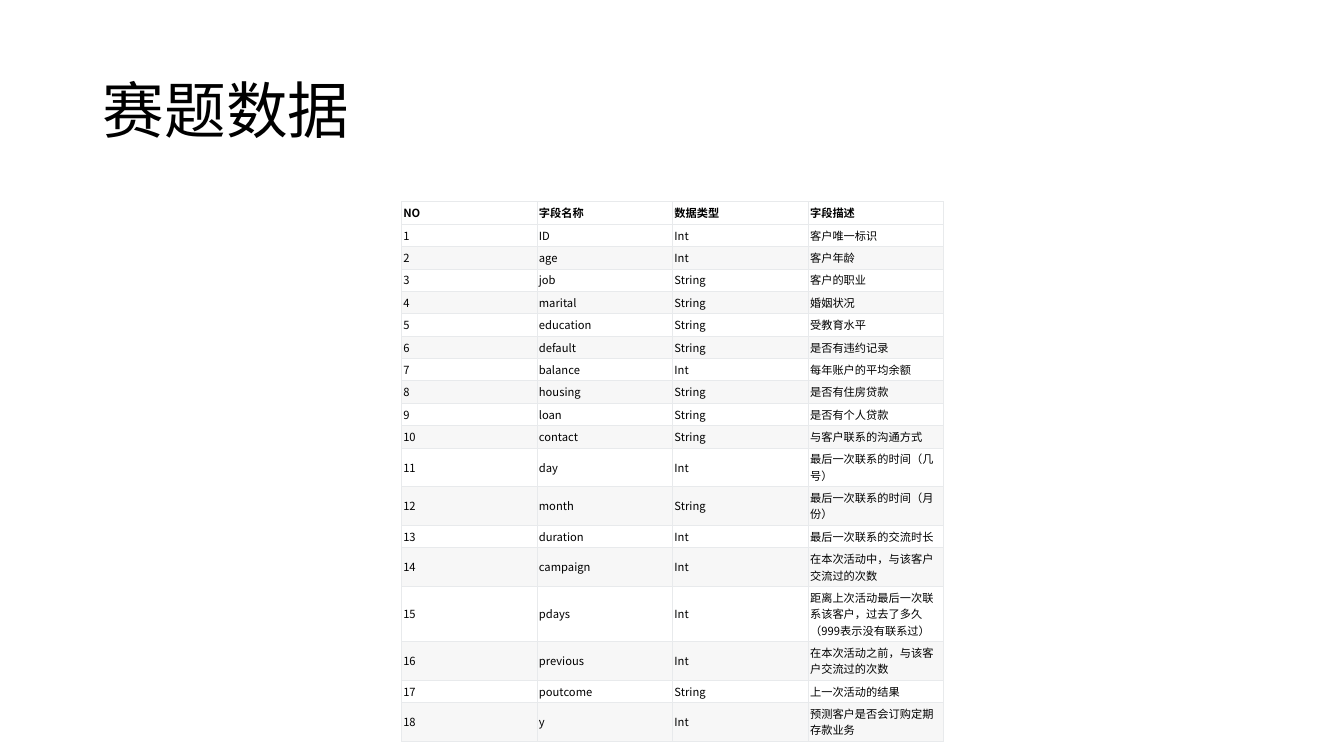
from lxml import etree
from pptx import Presentation
from pptx.dml.color import RGBColor
from pptx.enum import text
from pptx.oxml.ns import qn
from pptx.util import Inches, Pt

FACE = "Noto Sans CJK SC"
HEAD = ("NO", "字段名称", "数据类型", "字段描述")
FIELDS = [
    ("ID", "Int", "客户唯一标识", 1),
    ("age", "Int", "客户年龄", 1),
    ("job", "String", "客户的职业", 1),
    ("marital", "String", "婚姻状况", 1),
    ("education", "String", "受教育水平", 1),
    ("default", "String", "是否有违约记录", 1),
    ("balance", "Int", "每年账户的平均余额", 1),
    ("housing", "String", "是否有住房贷款", 1),
    ("loan", "String", "是否有个人贷款", 1),
    ("contact", "String", "与客户联系的沟通方式", 1),
    ("day", "Int", "最后一次联系的时间（几号）", 2),
    ("month", "String", "最后一次联系的时间（月份）", 2),
    ("duration", "Int", "最后一次联系的交流时长", 1),
    ("campaign", "Int", "在本次活动中，与该客户交流过的次数", 2),
    ("pdays", "Int", "距离上次活动最后一次联系该客户，过去了多久（999表示没有联系过）", 3),
    ("previous", "Int", "在本次活动之前，与该客户交流过的次数", 2),
    ("poutcome", "String", "上一次活动的结果", 1),
    ("y", "Int", "预测客户是否会订购定期存款业务", 2),
]


def paint(fill, color):
    """Give a fill one solid colour."""
    fill.solid()
    fill.fore_color.rgb = RGBColor.from_string(color)


def style(para, size, bold=False):
    """Set the font of a paragraph for Latin and Chinese text."""
    font = para.font
    font.size, font.bold, font.name = Pt(size), bold, FACE
    paint(font.fill, "000000")
    props = para._p.pPr.find(qn("a:defRPr"))
    etree.SubElement(props, qn("a:ea"), typeface=FACE)


def border(cell, color, width):
    """Draw a thin line on all four sides of a cell."""
    props = cell._tc.get_or_add_tcPr()
    for spot, side in enumerate(("lnL", "lnR", "lnT", "lnB")):
        line = etree.Element(qn("a:" + side), w=str(Pt(width)))
        fill = etree.SubElement(line, qn("a:solidFill"))
        etree.SubElement(fill, qn("a:srgbClr"), val=color)
        props.insert(spot, line)


def add_title(slide, words):
    """Place and format the slide title."""
    title = slide.shapes.title
    title.left, title.top = Inches(0.92), Inches(0.4)
    title.width, title.height = Inches(11.5), Inches(1.45)
    frame = title.text_frame
    frame.text = words
    frame.word_wrap = True
    frame.vertical_anchor = text.MSO_ANCHOR.MIDDLE
    para = frame.paragraphs[0]
    para.alignment = text.PP_ALIGN.LEFT
    para.line_spacing = 0.9
    style(para, 44)


def fill_cell(cell, words, color, bold):
    """Write one table cell with its fill and border."""
    cell.text = words
    cell.vertical_anchor = text.MSO_ANCHOR.MIDDLE
    cell.margin_left = cell.margin_right = Inches(0.02)
    cell.margin_top = cell.margin_bottom = Inches(0.03)
    paint(cell.fill, color)
    border(cell, "E8EAEC", 0.38)
    style(cell.text_frame.paragraphs[0], 8, bold)


def add_fields(slide):
    """Build the table of data fields, tall enough for each row's lines."""
    rows = [(*HEAD, 1)] + [(str(no), *field) for no, field in enumerate(FIELDS, 1)]
    frame = slide.shapes.add_table(len(rows), len(HEAD), Inches(3.98), Inches(2),
                                   Inches(5.38), Inches(4.76))
    table = frame.table
    for at, (*words, lines) in enumerate(rows):
        table.rows[at].height = Inches(0.06 + 0.14 * lines)
        color = "F7F7F7" if at and at % 2 == 0 else "FFFFFF"
        for col, word in enumerate(words):
            fill_cell(table.cell(at, col), word, color, at == 0)


def main():
    """Build and save the slide."""
    deck = Presentation()
    deck.slide_width, deck.slide_height = Inches(13.33), Inches(7.5)
    slide = deck.slides.add_slide(deck.slide_layouts[5])
    paint(slide.background.fill, "FFFFFF")
    add_title(slide, "赛题数据")
    add_fields(slide)
    deck.save("out.pptx")


if __name__ == "__main__":
    main()
